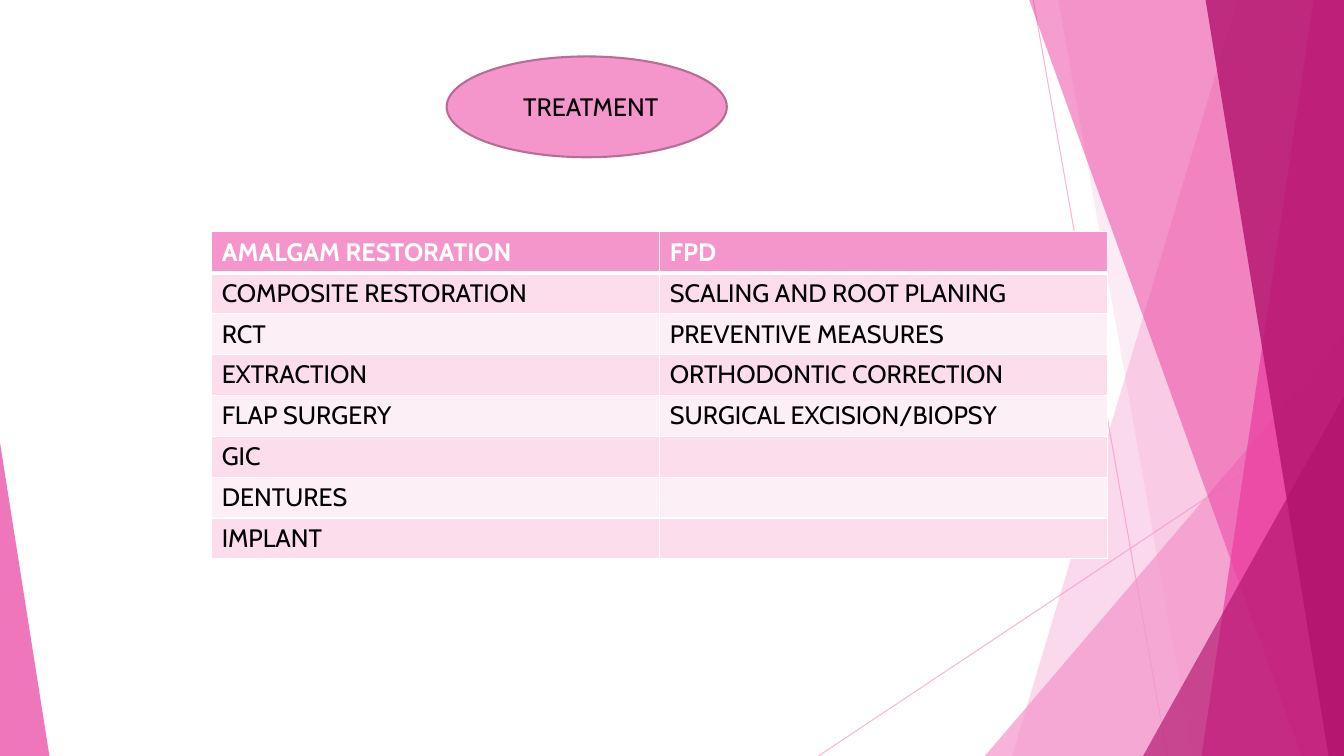
from lxml.etree import SubElement
from pptx import Presentation
from pptx.dml.color import RGBColor
from pptx.enum.shapes import MSO_CONNECTOR, MSO_SHAPE
from pptx.enum.text import MSO_ANCHOR, MSO_AUTO_SIZE, PP_ALIGN
from pptx.oxml.ns import qn
from pptx.util import Inches, Pt

PINK, MAGENTA, PLUM = "F496CB", "EB3D9F", "B2136D"
WHITE, BLACK = "FFFFFF", "000000"
BANDS = ("FDEFF6", "FBDDEC")


def color(hex_code):
    return RGBColor.from_string(hex_code)


def write(tf, text, font="Cabin", size=18, fg=BLACK, bold=False, align=PP_ALIGN.LEFT):
    p = tf.paragraphs[0]
    p.alignment = align
    r = p.add_run()
    r.text = text
    r.font.name, r.font.size, r.font.bold = font, Pt(size), bold
    r.font.color.rgb = color(fg)


def set_alpha(parent, percent):
    for clr in parent.iter(qn("a:srgbClr")):
        SubElement(clr, qn("a:alpha"), val=str(percent * 1000))


class SlideBuilder:
    """Places elements on a grid of 100 columns by 100 rows."""

    def __init__(self, prs):
        self.col, self.row = prs.slide_width / 100, prs.slide_height / 100
        self.s = prs.slides.add_slide(prs.slide_layouts[5])
        self.s.background.fill.solid()
        self.s.background.fill.fore_color.rgb = color(WHITE)

    def grid(self, *lengths):
        return [round(n * (self.row if i % 2 else self.col)) for i, n in enumerate(lengths)]

    def paint(self, sp, fill, alpha=100, line=None, width=1.5):
        sp.shadow.inherit = False
        sp.fill.solid()
        sp.fill.fore_color.rgb = color(fill)
        if alpha < 100:
            set_alpha(sp._element.spPr, alpha)
        if line:
            sp.line.color.rgb, sp.line.width = color(line), Pt(width)
        else:
            sp.line.fill.background()

    def hairline(self, *ends):
        ln = self.s.shapes.add_connector(MSO_CONNECTOR.STRAIGHT, *self.grid(*ends))
        ln.line.color.rgb, ln.line.width = color(PINK), Pt(0.75)
        set_alpha(ln._element.spPr, 70)
        SubElement(ln._element.spPr, qn("a:effectLst"))

    def right_panel(self, top, bottom, fill, alpha):
        points = [self.grid(*pt) for pt in ((top, 0), (100, 0), (100, 100), (bottom, 100))]
        fb = self.s.shapes.build_freeform(*points[0])
        fb.add_line_segments(points[1:], close=True)
        self.paint(fb.convert_to_shape(), fill, alpha)

    def triangle(self, left, top, width, apex, fill, alpha):
        box = self.grid(left, top, width, 100 - top)
        sp = self.s.shapes.add_shape(MSO_SHAPE.ISOSCELES_TRIANGLE, *box)
        sp.adjustments[0] = apex
        self.paint(sp, fill, alpha)

    def ellipse(self, box, fill, line):
        sp = self.s.shapes.add_shape(MSO_SHAPE.OVAL, *self.grid(*box))
        self.paint(sp, fill, line=line)

    def title(self, text, box):
        sp = self.s.shapes.title
        sp.left, sp.top, sp.width, sp.height = self.grid(*box)
        tf = sp.text_frame
        tf.word_wrap, tf.auto_size = True, MSO_AUTO_SIZE.SHAPE_TO_FIT_TEXT
        tf.vertical_anchor = MSO_ANCHOR.TOP
        write(tf, text)
        # Bring the title in front of the ellipse
        self.s.shapes._spTree.append(sp._element)

    def borders(self, cell, **widths):
        tc_pr = cell._tc.get_or_add_tcPr()
        for side in "LRTB":
            ln = SubElement(tc_pr, qn("a:ln" + side), w=str(Pt(widths.get(side, 1))))
            SubElement(SubElement(ln, qn("a:solidFill")), qn("a:srgbClr"), val=WHITE)

    def table(self, rows, box):
        frame = self.s.shapes.add_table(len(rows), len(rows[0]), *self.grid(*box))
        for i, row in enumerate(rows):
            for j, text in enumerate(row):
                cell = frame.table.cell(i, j)
                self.borders(cell, T=3 if i == 1 else 1, B=3 if i == 0 else 1)
                cell.fill.solid()
                cell.fill.fore_color.rgb = color(BANDS[i % 2] if i else PINK)
                if text:
                    write(cell.text_frame, text, fg=BLACK if i else WHITE, bold=i == 0)


def main():
    prs = Presentation()
    prs.slide_width, prs.slide_height = Inches(13.33), Inches(7.5)
    b = SlideBuilder(prs)

    # Faceted background
    b.hairline(76.88, 0, 86.85, 100)
    b.hairline(100, 53.73, 60.9, 100)
    b.right_panel(92.1, 75.3, PINK, 36)
    b.right_panel(78.75, 88.73, PINK, 20)
    b.triangle(73.28, 44.4, 26.72, 1, PINK, 72)
    b.right_panel(76.58, 96.83, MAGENTA, 50)
    b.right_panel(97.73, 89.4, MAGENTA, 70)
    b.right_panel(89.7, 98.85, PLUM, 80)
    b.triangle(85.05, 52.4, 14.95, 1, PLUM, 66)
    b.triangle(0, 58.53, 3.68, 0, MAGENTA, 70)

    # Treatment options
    b.table([
        ("AMALGAM RESTORATION", "FPD"),
        ("COMPOSITE RESTORATION", "SCALING AND ROOT PLANING"),
        ("RCT", "PREVENTIVE MEASURES"),
        ("EXTRACTION", "ORTHODONTIC CORRECTION"),
        ("FLAP SURGERY", "SURGICAL EXCISION/BIOPSY"),
        ("GIC", ""),
        ("DENTURES", ""),
        ("IMPLANT", ""),
    ], (15.75, 30.67, 66.68, 43.2))

    # Heading
    b.ellipse((33.23, 7.47, 20.85, 13.33), PINK, "B56F96")
    b.title("TREATMENT", (38.18, 11.47, 13.43, 5.33))

    prs.save("out.pptx")


if __name__ == "__main__":
    main()
